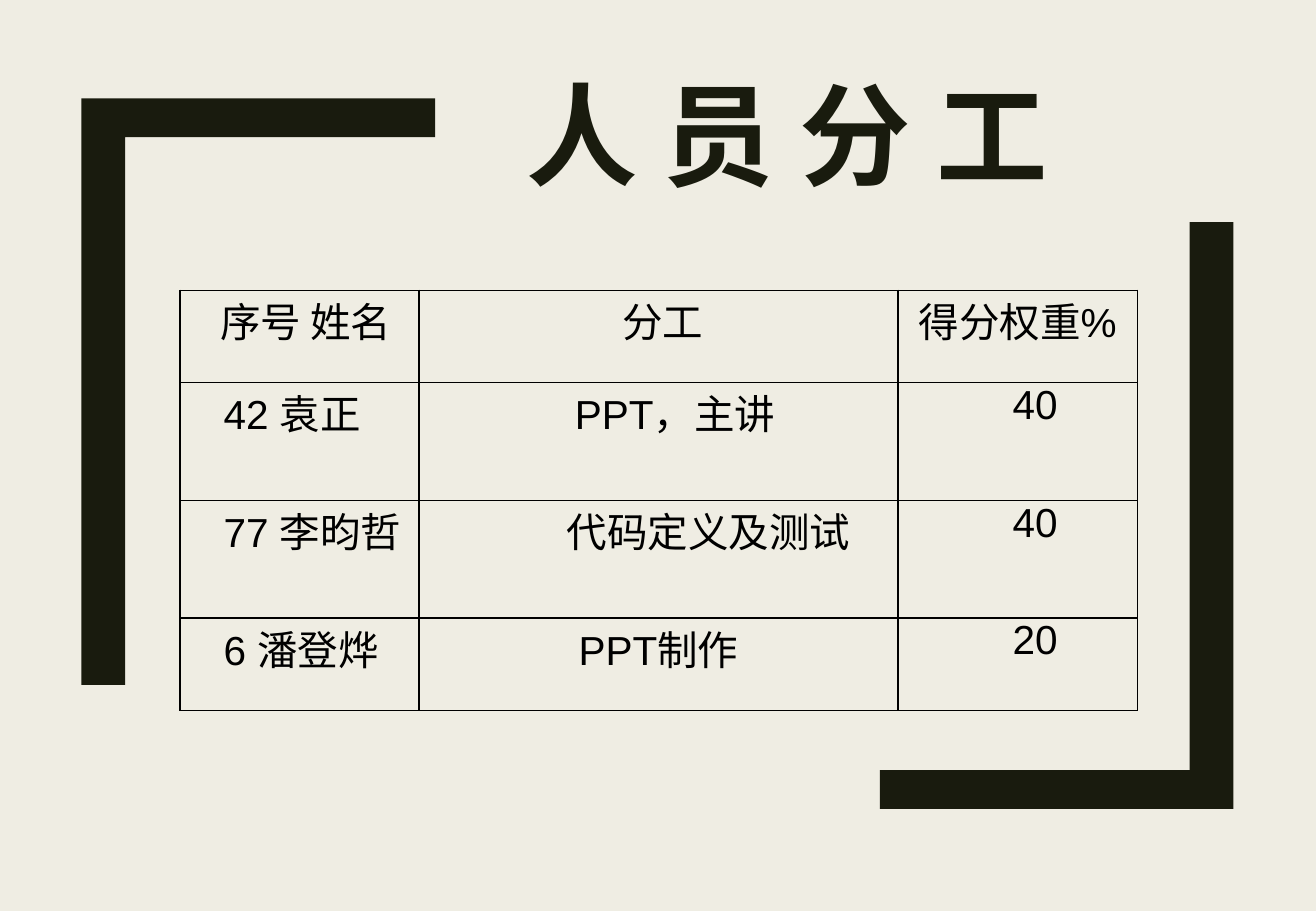
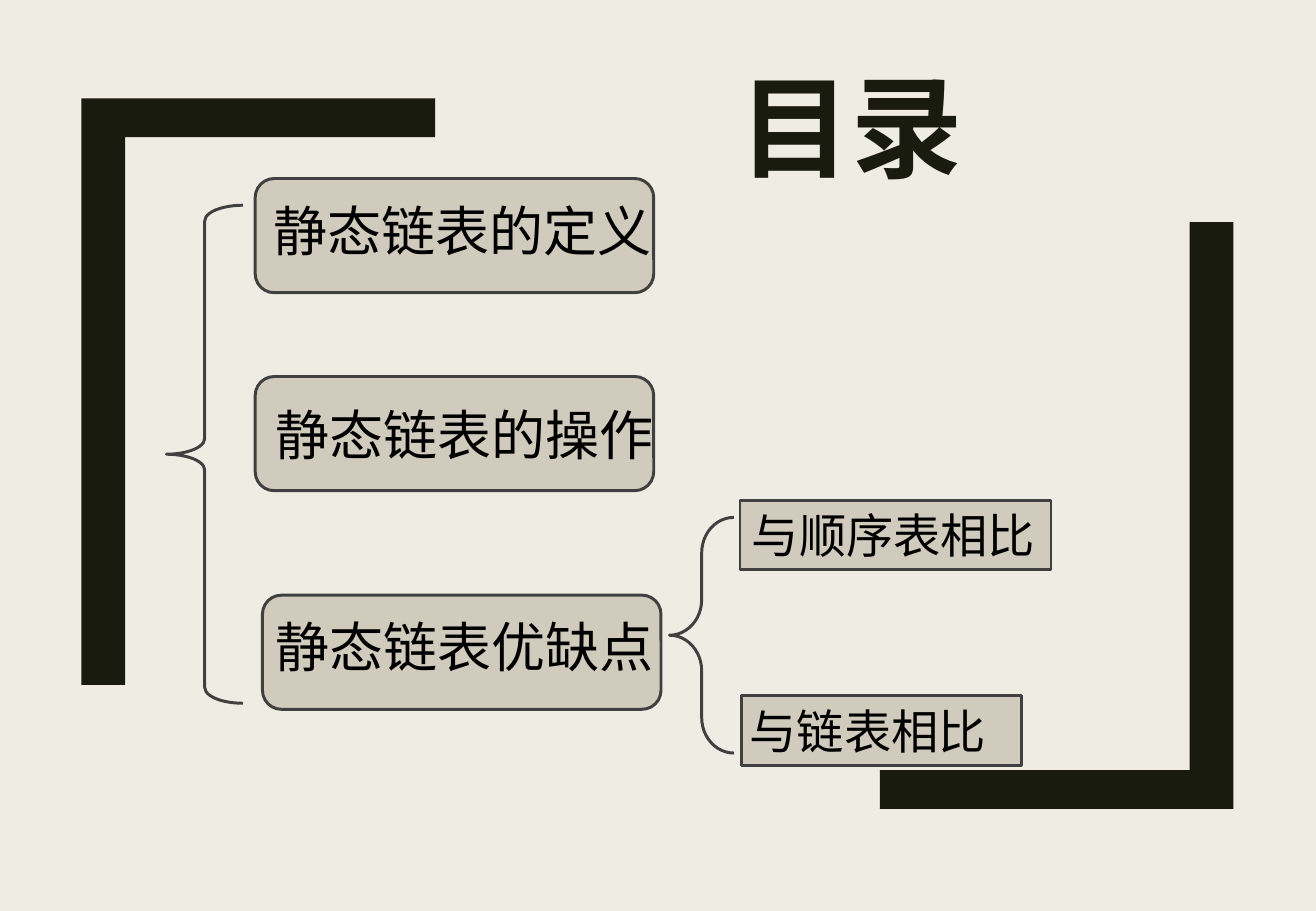
from dataclasses import dataclass

import pptx
import pptx.dml.color
import pptx.enum.shapes
import pptx.enum.text
import pptx.oxml
import pptx.oxml.ns
import pptx.util

PX = 9144
INK, PAPER, BOX, EDGE, BLACK = "191B0E", "EFEDE3", "D1CBBE", "404040", "000000"
CJK, CJK_TITLE, LATIN = "Noto Sans CJK SC", "Noto Sans CJK JP", "Arial"
SHAPE = pptx.enum.shapes.MSO_SHAPE
ALIGN = pptx.enum.text.PP_ALIGN
ANCHOR = pptx.enum.text.MSO_ANCHOR

BRACKET = [(291, 0), (291, 32), (36, 32), (36, 483), (0, 483)]
BRACKET_CORNERS = [(1015, 666, -1), (67, 81, 1)]


@dataclass
class Rect:
    x: int
    y: int
    w: int
    h: int


@dataclass
class Node:
    rect: Rect
    preset: int
    adj: float | None = None
    text: str = ""
    pad: int = 10


@dataclass
class Label:
    rect: Rect
    text: str


@dataclass
class Entry:
    text: str
    indent: int = 0
    align: int = ALIGN.CENTER


COLUMNS = [197, 394, 197]
ROW_HEIGHTS = [76, 97, 97, 76]
LEFT = ALIGN.LEFT
ROWS = [
    [Entry("序号 姓名", 10), Entry("分工", 7), Entry("得分权重%")],
    [Entry("42 袁正", 29, LEFT), Entry("PPT，主讲", 27), Entry("40", 29)],
    [Entry("77 李昀哲", 29, LEFT), Entry("代码定义及测试", 82), Entry("40", 29)],
    [Entry("6 潘登烨", 29, LEFT), Entry("PPT制作"), Entry("20", 29)],
]

NODES = [
    Node(Rect(137, 169, 63, 410), SHAPE.LEFT_BRACE, 0.206),
    Node(Rect(210, 147, 328, 94), SHAPE.ROUNDED_RECTANGLE),
    Node(Rect(210, 310, 328, 94), SHAPE.ROUNDED_RECTANGLE),
    Node(Rect(216, 490, 328, 94), SHAPE.ROUNDED_RECTANGLE),
    Node(Rect(551, 426, 53, 194), SHAPE.LEFT_BRACE, 0.553),
    Node(Rect(609, 412, 256, 57), SHAPE.RECTANGLE, text="与顺序表相比"),
    Node(Rect(610, 573, 231, 57), SHAPE.RECTANGLE, text="与链表相比", pad=7),
]
LABELS = [
    Label(Rect(215, 158, 339, 64), "静态链表的定义"),
    Label(Rect(217, 326, 339, 64), "静态链表的操作"),
    Label(Rect(217, 500, 339, 64), "静态链表优缺点"),
]


def px(n: int) -> int:
    return n * PX


def box(r: Rect) -> tuple[int, int, int, int]:
    return px(r.x), px(r.y), px(r.w), px(r.h)


def rgb(color: str) -> pptx.dml.color.RGBColor:
    return pptx.dml.color.RGBColor.from_string(color)


def paint(fill, color: str) -> None:
    fill.solid()
    fill.fore_color.rgb = rgb(color)


def write(tf, text: str, size: int, color: str = BLACK, align: int = LEFT,
          latin: str = CJK, asian: str = CJK, bold: bool = False):
    p = tf.paragraphs[0]
    p.add_run().text = text
    p.alignment = align
    p.font.size = pptx.util.Pt(size)
    p.font.bold = bold
    p.font.color.rgb = rgb(color)
    p.font.name = latin
    props = p._p.get_or_add_pPr().find(pptx.oxml.ns.qn("a:defRPr"))
    props.append(pptx.oxml.parse_xml(
        f'<a:ea {pptx.oxml.ns.nsdecls("a")} typeface="{asian}"/>'))
    return p


def add_bracket(slide, x: int, y: int, way: int) -> None:
    builder = slide.shapes.build_freeform(x, y, PX)
    builder.add_line_segments([(x + way * dx, y + way * dy) for dx, dy in BRACKET])
    sp = builder.convert_to_shape()
    sp.shadow.inherit = False
    paint(sp.fill, INK)
    sp.line.fill.background()


def add_titled_slide(prs, title: str, rect: Rect):
    slide = prs.slides.add_slide(prs.slide_layouts[5])
    for corner in BRACKET_CORNERS:
        add_bracket(slide, *corner)
    sp = slide.shapes.title
    sp.left, sp.top, sp.width, sp.height = box(rect)
    tf = sp.text_frame
    tf.word_wrap = True
    tf.auto_size = pptx.enum.text.MSO_AUTO_SIZE.NONE
    tf.vertical_anchor = ANCHOR.BOTTOM
    p = write(tf, title, 66, INK, ALIGN.CENTER, CJK_TITLE, CJK_TITLE, True)
    p.line_spacing = 0.89
    return slide


def add_borders(cell) -> None:
    props = cell._tc.get_or_add_tcPr()
    for i, side in enumerate("LRTB"):
        props.insert(i, pptx.oxml.parse_xml(
            f'<a:ln{side} {pptx.oxml.ns.nsdecls("a")} w="12700">'
            f'<a:solidFill><a:srgbClr val="{BLACK}"/></a:solidFill></a:ln{side}>'))


def fill_cell(cell, entry: Entry) -> None:
    cell.fill.background()
    add_borders(cell)
    cell.margin_left = cell.margin_right = px(7)
    cell.margin_top = cell.margin_bottom = 0
    p = write(cell.text_frame, entry.text, 24, align=entry.align, latin=LATIN)
    pPr = p._p.get_or_add_pPr()
    pPr.set("marL", "0")
    pPr.set("indent", str(px(entry.indent)))


def add_duty_table(slide) -> None:
    rect = Rect(148, 239, sum(COLUMNS), sum(ROW_HEIGHTS))
    table = slide.shapes.add_table(len(ROWS), len(COLUMNS), *box(rect)).table
    table.first_row = table.horz_banding = False
    for column, width in zip(table.columns, COLUMNS):
        column.width = px(width)
    for row, height, entries in zip(table.rows, ROW_HEIGHTS, ROWS):
        row.height = px(height)
        for cell, entry in zip(row.cells, entries):
            fill_cell(cell, entry)


def add_node(slide, node: Node) -> None:
    sp = slide.shapes.add_shape(node.preset, *box(node.rect))
    sp.shadow.inherit = False
    sp.line.color.rgb = rgb(EDGE)
    sp.line.width = pptx.util.Pt(1.75)
    if node.adj is None:
        paint(sp.fill, BOX)
    else:
        sp.fill.background()
        sp.adjustments[0] = node.adj
    if node.text:
        tf = sp.text_frame
        tf.word_wrap = True
        tf.vertical_anchor = ANCHOR.TOP
        tf.margin_left = px(node.pad)
        write(tf, node.text, 28)


def add_label(slide, label: Label) -> None:
    tf = slide.shapes.add_textbox(*box(label.rect)).text_frame
    tf.word_wrap = True
    write(tf, label.text, 32)


def main() -> None:
    prs = pptx.Presentation()
    prs.slide_width, prs.slide_height = px(1083), px(750)
    paint(prs.slide_master.background.fill, PAPER)

    duties = add_titled_slide(prs, "人 员 分 工", Rect(187, 21, 921, 150))
    add_duty_table(duties)

    contents = add_titled_slide(prs, "目录", Rect(329, 0, 743, 164))
    for node in NODES:
        add_node(contents, node)
    for label in LABELS:
        add_label(contents, label)

    prs.save("out.pptx")


if __name__ == "__main__":
    main()
